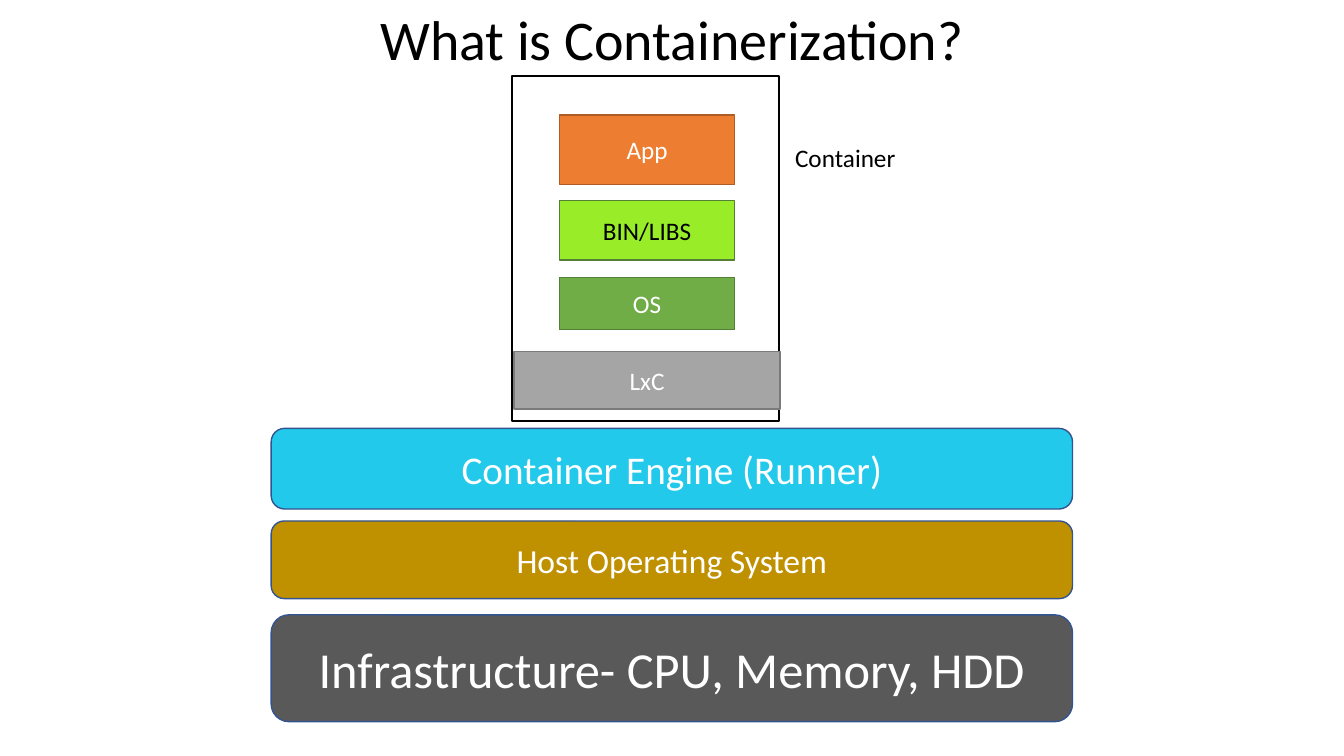
from dataclasses import dataclass

from pptx import Presentation
from pptx import util as u
from pptx.dml import color
from pptx.enum import shapes, text

WHITE, BLACK = "FFFFFF", "000000"
RECTANGLE = shapes.MSO_SHAPE.RECTANGLE
ROUNDED = shapes.MSO_SHAPE.ROUNDED_RECTANGLE
SLIDE_WIDTH, SLIDE_HEIGHT = 960, 540


@dataclass
class Block:
    label: str
    left: float
    top: float
    width: float
    height: float
    fill: str
    line: str
    size: float = 18
    ink: str = WHITE
    outline: float = 1
    preset: shapes.MSO_SHAPE = RECTANGLE


def part(label: str, top: float, height: float, fill: str, line: str, ink: str = WHITE) -> Block:
    return Block(label, 399.6, top, 125.3, height, fill, line, ink=ink)


def layer(label: str, top: float, height: float, fill: str, size: float) -> Block:
    return Block(label, 193.7, top, 572.4, height, fill, "325491", size, preset=ROUNDED)


BLOCKS = [
    Block("", 365.8, 54, 190.8, 247, WHITE, BLACK, outline=1.5),
    part("App", 82, 49.7, "ED7D31", "AF5C24"),
    layer("Container Engine (Runner)", 306, 57.6, "22C9EA", 28),
    layer("Host Operating System", 372.2, 55.4, "BF9000", 24),
    layer("Infrastructure- CPU, Memory, HDD", 439.2, 76.3, "595959", 36),
    part("BIN/LIBS", 143.3, 42.5, "98EC28", "538035", BLACK),
    part("OS", 198, 37.4, "70AD47", "538035"),
    Block("LxC", 367.2, 251.3, 190.1, 41, "A5A5A5", "7A7A7A"),
]


def rgb(code: str) -> color.RGBColor:
    return color.RGBColor.from_string(code)


def write(box, label: str, *, size: float, ink: str = BLACK,
          anchor: text.MSO_ANCHOR = text.MSO_ANCHOR.MIDDLE,
          fit: text.MSO_AUTO_SIZE = text.MSO_AUTO_SIZE.NONE) -> None:
    frame = box.text_frame
    frame.word_wrap = True
    frame.auto_size = fit
    frame.vertical_anchor = anchor
    para = frame.paragraphs[0]
    para.alignment = text.PP_ALIGN.CENTER
    span = para.add_run()
    span.text = label
    span.font.name = "Calibri"
    span.font.size = u.Pt(size)
    span.font.color.rgb = rgb(ink)


def draw(page, block: Block) -> None:
    box = page.shapes.add_shape(block.preset, u.Pt(block.left), u.Pt(block.top),
                                u.Pt(block.width), u.Pt(block.height))
    box.shadow.inherit = False
    box.fill.solid()
    box.fill.fore_color.rgb = rgb(block.fill)
    box.line.color.rgb = rgb(block.line)
    box.line.width = u.Pt(block.outline)
    if block.label:
        write(box, block.label, size=block.size, ink=block.ink)


def main() -> None:
    deck = Presentation()
    deck.slide_width, deck.slide_height = u.Pt(SLIDE_WIDTH), u.Pt(SLIDE_HEIGHT)
    page = deck.slides.add_slide(deck.slide_layouts.get_by_name("Title Only"))

    title = page.shapes.title
    title.left, title.top = u.Pt(0), u.Pt(0)
    title.width, title.height = u.Pt(SLIDE_WIDTH), u.Pt(54)
    write(title, "What is Containerization?", size=40)

    for block in BLOCKS:
        draw(page, block)

    caption = page.shapes.add_textbox(u.Pt(535.7), u.Pt(97.9), u.Pt(136.1), u.Pt(28.8))
    write(caption, "Container", size=18, anchor=text.MSO_ANCHOR.TOP,
          fit=text.MSO_AUTO_SIZE.SHAPE_TO_FIT_TEXT)

    deck.save("out.pptx")


if __name__ == "__main__":
    main()
